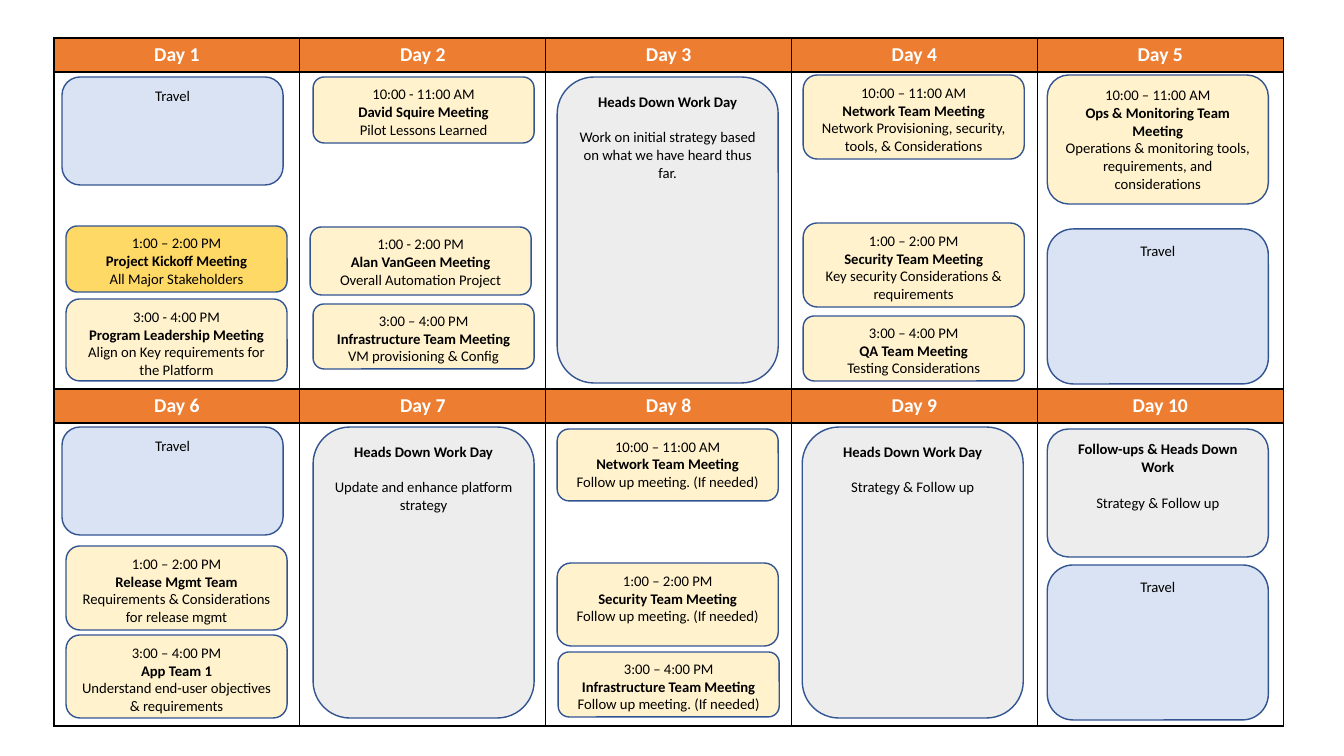
from lxml.etree import SubElement
from pptx import Presentation
from pptx.dml.color import RGBColor
from pptx.enum.shapes import MSO_SHAPE
from pptx.enum.text import MSO_ANCHOR, PP_ALIGN
from pptx.oxml.ns import qn
from pptx.util import Inches, Pt

COLORS = {"header": "ED7D31", "meeting": "FFF2CC", "kickoff": "FFD966",
          "travel": "DAE3F3", "work": "EDEDED", "outline": "325491",
          "border": "000000", "text": "000000", "header text": "FFFFFF"}

FOLLOW_UP = "Follow up meeting. (If needed)"
WORK_DAY = "Heads Down Work Day"
# One list per day: (kind, left, top, height, lines), in pixels
DAYS = [
    [("travel", 62, 77, 108, ["Travel"]),
     ("kickoff", 66, 226, 66, ["1:00 – 2:00 PM", "Project Kickoff Meeting", "All Major Stakeholders"]),
     ("meeting", 66, 299, 82, ["3:00 - 4:00 PM", "Program Leadership Meeting",
                               "Align on Key requirements for the Platform"])],
    [("meeting", 313, 77, 66, ["10:00 - 11:00 AM", "David Squire Meeting", "Pilot Lessons Learned"]),
     ("meeting", 310, 227, 68, ["1:00 - 2:00 PM", "Alan VanGeen Meeting", "Overall Automation Project"]),
     ("meeting", 313, 304, 65, ["3:00 – 4:00 PM", "Infrastructure Team Meeting",
                                "VM provisioning & Config"])],
    [("work", 557, 77, 306, [WORK_DAY, "Work on initial strategy based on what we have heard thus far."])],
    [("meeting", 803, 75, 84, ["10:00 – 11:00 AM", "Network Team Meeting",
                               "Network Provisioning, security, tools, & Considerations"]),
     ("meeting", 803, 223, 84, ["1:00 – 2:00 PM", "Security Team Meeting",
                                "Key security Considerations & requirements"]),
     ("meeting", 803, 316, 65, ["3:00 – 4:00 PM", "QA Team Meeting", "Testing Considerations"])],
    [("meeting", 1047, 75, 129, ["10:00 – 11:00 AM", "Ops & Monitoring Team Meeting",
                                 "Operations & monitoring tools, requirements, and considerations"]),
     ("travel", 1047, 229, 155, ["Travel"])],
    [("travel", 62, 427, 108, ["Travel"]),
     ("meeting", 66, 546, 84, ["1:00 – 2:00 PM", "Release Mgmt Team",
                               "Requirements & Considerations for release mgmt"]),
     ("meeting", 66, 635, 83, ["3:00 – 4:00 PM", "App Team 1",
                               "Understand end-user objectives & requirements"])],
    [("work", 313, 427, 291, [WORK_DAY, "Update and enhance platform strategy"])],
    [("meeting", 557, 429, 72, ["10:00 – 11:00 AM", "Network Team Meeting", FOLLOW_UP]),
     ("meeting", 557, 563, 83, ["1:00 – 2:00 PM", "Security Team Meeting", FOLLOW_UP]),
     ("meeting", 558, 652, 65, ["3:00 – 4:00 PM", "Infrastructure Team Meeting", FOLLOW_UP])],
    [("work", 802, 427, 291, [WORK_DAY, "Strategy & Follow up"])],
    [("work", 1047, 429, 128, ["Follow-ups & Heads Down Work", "Strategy & Follow up"]),
     ("travel", 1047, 565, 155, ["Travel"])],
]
PER_WEEK = 5
TABLE_LEFT, TABLE_TOP, TABLE_WIDTH = 54, 38, 1229
ROW_HEIGHTS = [34, 317, 34, 303]
BOX_WIDTH = 221


def px(n):
    return Inches(n / 100.8)


def color(name):
    return RGBColor.from_string(COLORS[name])


def write(p, text, size, bold, ink):
    p.alignment = PP_ALIGN.CENTER
    r = p.add_run()
    r.text = text
    for key, value in {"name": "Calibri", "size": Pt(size), "bold": bold}.items():
        setattr(r.font, key, value)
    r.font.color.rgb = color(ink)


def add_borders(cell):
    tc_pr = cell._tc.get_or_add_tcPr()
    for side in ("lnL", "lnR", "lnT", "lnB"):
        ln = SubElement(tc_pr, qn("a:" + side), w=str(Pt(1)))
        fill = SubElement(ln, qn("a:solidFill"))
        SubElement(fill, qn("a:srgbClr"), val=COLORS["border"])


prs = Presentation()
prs.slide_width, prs.slide_height = Inches(13.33), Inches(7.5)
s = prs.slides.add_slide(prs.slide_layouts[6])

# Calendar grid: a header row above each week
table = s.shapes.add_table(len(ROW_HEIGHTS), PER_WEEK, px(TABLE_LEFT), px(TABLE_TOP),
                           px(TABLE_WIDTH), px(sum(ROW_HEIGHTS))).table
for row, height in zip(table.rows, ROW_HEIGHTS):
    row.height = px(height)
for i in range(len(ROW_HEIGHTS)):
    for j in range(PER_WEEK):
        cell = table.cell(i, j)
        add_borders(cell)
        if i % 2:
            cell.fill.background()
            continue
        cell.fill.solid()
        cell.fill.fore_color.rgb = color("header")
        day = i // 2 * PER_WEEK + j + 1
        write(cell.text_frame.paragraphs[0], f"Day {day}", 14, True, "header text")

# Activities
for day in DAYS:
    for kind, left, top, height, lines in day:
        sp = s.shapes.add_shape(MSO_SHAPE.ROUNDED_RECTANGLE, px(left), px(top),
                                px(BOX_WIDTH), px(height))
        sp.shadow.inherit = False
        sp.fill.solid()
        sp.fill.fore_color.rgb = color(kind)
        sp.line.color.rgb = color("outline")
        sp.line.width = Pt(1)
        tf = sp.text_frame
        tf.word_wrap = True
        tf.vertical_anchor = MSO_ANCHOR.TOP
        # The heading is the second-to-last line; Travel has none
        for n, text in enumerate(lines):
            p = tf.add_paragraph() if n else tf.paragraphs[0]
            heading = n == len(lines) - 2
            write(p, text, 10.5, heading, "text")
            if heading and kind == "work":
                p.space_after = Pt(12.8)

prs.save("out.pptx")
